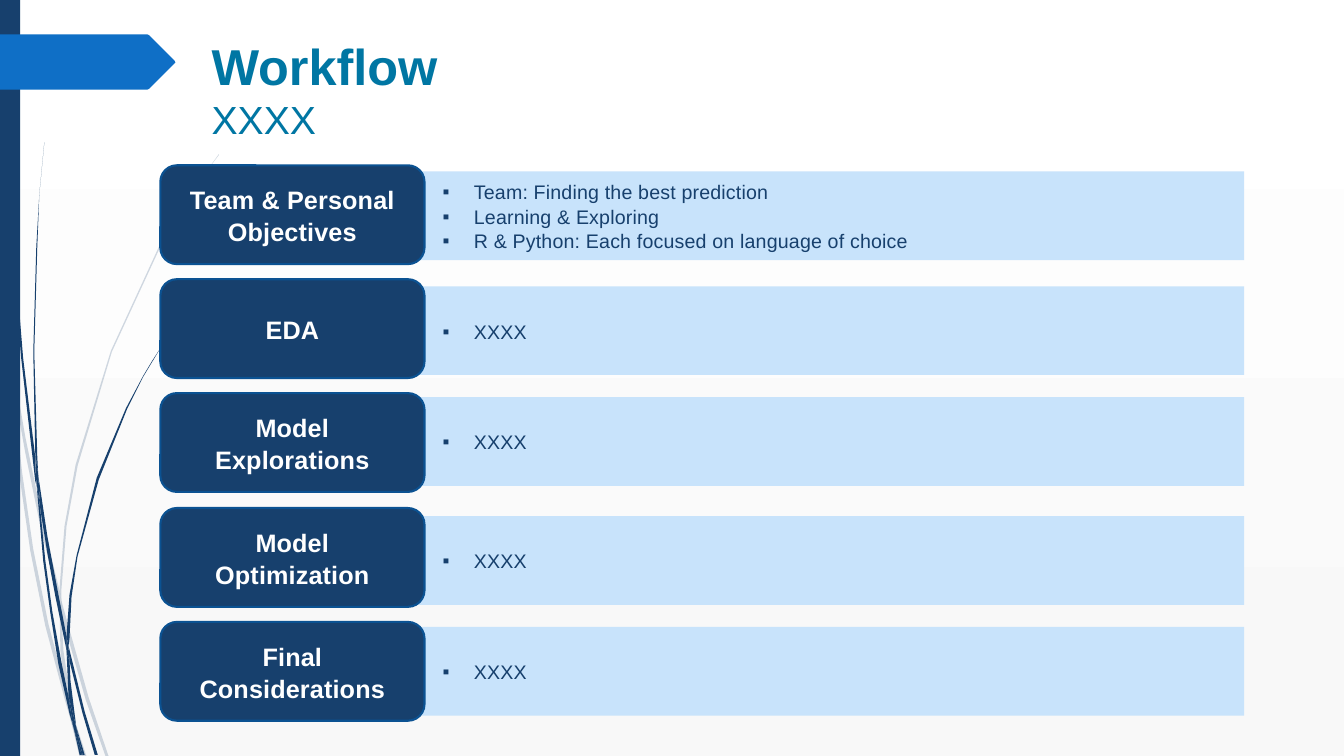
from dataclasses import dataclass

from lxml.etree import SubElement
from pptx import Presentation
from pptx.dml.color import RGBColor
from pptx.enum.shapes import MSO_SHAPE as SHAPE
from pptx.enum.text import MSO_ANCHOR as ANCHOR, PP_ALIGN as ALIGN
from pptx.oxml.ns import qn
from pptx.util import Emu, Pt

PX = 9144  # EMU per px, 100 px to the inch
COLORS = {
    "navy": "17406D", "blue": "0F6FC6", "edge": "0B5292", "pale": "C8E3FB",
    "teal": "0076A3", "white": "FFFFFF", "smoke": "F8F8F8",
}
BAR_TEXT = {"name": "Arial", "size": Pt(14), "bold": False}
CARD_TEXT = {"name": "Arial", "size": Pt(18), "bold": True}
TITLE_TEXT = {"name": "Arial", "size": Pt(36), "bold": True}
SUBTITLE_TEXT = {"name": "Arial", "size": Pt(28), "bold": False}
BAR_FRAME = {
    "word_wrap": True, "vertical_anchor": ANCHOR.MIDDLE,
    "margin_left": Emu(40 * PX), "margin_right": Emu(20 * PX),
    "margin_top": Emu(5 * PX), "margin_bottom": Emu(5 * PX),
}
CARD_FRAME = {"word_wrap": True, "vertical_anchor": ANCHOR.MIDDLE}
TITLE_FRAME = {"word_wrap": True, "vertical_anchor": ANCHOR.TOP}

Outline = list[tuple[int, int]]


@dataclass
class Step:
    name: str
    bar_top: int
    points: list[str]


STEPS = [
    Step("Team & Personal Objectives", 170, [
        "Team: Finding the best prediction",
        "Learning & Exploring",
        "R & Python: Each focused on language of choice",
    ]),
    Step("EDA", 284, ["XXXX"]),
    Step("Model Explorations", 394, ["XXXX"]),
    Step("Model Optimization", 512, ["XXXX"]),
    Step("Final Considerations", 622, ["XXXX"]),
]
CARD_TOP, CARD_PITCH = 164, 113.25

# Outlines of the grass blades, in px
FAINT_BLADES: list[Outline] = [
    [(8, 350), (6, 322), (0, 282), (0, 299), (7, 344)],
    [(40, 522), (59, 599), (59, 586), (43, 520), (25, 433), (10, 345), (12, 376), (25, 449)],
    [(64, 607), (61, 596), (61, 610), (85, 694), (105, 751), (108, 751), (88, 692)],
    [(83, 751), (86, 751), (73, 711)],
    [(65, 683), (48, 619), (33, 545), (22, 469), (12, 376), (8, 350), (19, 470),
     (30, 546), (45, 621), (64, 693), (70, 714), (69, 707)],
    [(59, 599), (60, 646), (65, 683), (67, 692), (73, 711), (72, 706), (63, 646),
     (61, 610), (61, 608)],
    [(61, 584), (66, 522), (77, 462), (111, 349), (159, 245), (187, 198), (201, 175),
     (217, 154), (217, 153), (201, 175), (186, 197), (158, 244), (110, 348), (75, 461),
     (64, 522), (59, 584), (59, 586), (61, 596)],
    [(70, 714), (79, 751), (82, 751)],
    [(61, 608), (61, 610), (61, 596), (59, 586), (59, 599)],
    [(67, 692), (65, 683), (69, 707), (70, 714), (82, 751), (83, 751), (73, 711)],
]
DARK_BLADES: list[Outline] = [
    [(5, 110), (11, 233), (21, 355), (35, 477), (36, 481), (35, 457), (35, 453),
     (23, 355), (13, 232), (6, 109), (4, 48), (3, 0), (3, 48)],
    [(55, 592), (66, 645), (66, 633), (66, 631), (58, 590), (47, 532), (38, 472),
     (40, 505), (47, 549)],
    [(70, 649), (68, 641), (69, 656), (82, 708), (94, 749), (97, 749), (84, 706)],
    [(68, 691), (61, 657), (52, 607), (45, 556), (40, 505), (36, 477), (43, 557),
     (50, 608), (58, 659), (69, 708), (73, 722), (72, 717)],
    [(38, 472), (37, 453), (34, 349), (37, 245), (39, 193), (44, 141), (39, 193),
     (36, 245), (33, 349), (35, 449)],
    [(82, 749), (84, 749), (75, 719)],
    [(36, 477), (40, 505), (38, 472), (35, 449), (35, 453)],
    [(69, 633), (71, 592), (77, 552), (98, 476), (126, 406), (142, 374), (151, 359),
     (160, 344), (151, 358), (142, 373), (125, 405), (96, 474), (76, 551), (69, 590),
     (66, 631), (68, 641)],
    [(73, 722), (79, 749), (81, 749)],
    [(66, 645), (68, 691), (72, 706), (75, 719), (75, 716), (70, 676), (69, 656), (67, 651)],
    [(66, 645), (67, 651), (69, 656), (68, 641), (66, 631), (66, 633)],
    [(72, 706), (68, 691), (72, 717), (73, 722), (81, 749), (82, 749), (75, 719)],
]
BANNER: Outline = [(173, 63), (148, 88), (146, 89), (0, 89), (0, 34), (146, 34),
                   (148, 35), (173, 60), (174, 62)]


def rgb(name: str) -> RGBColor:
    return RGBColor.from_string(COLORS[name])


def apply(target, values: dict) -> None:
    for name, value in values.items():
        setattr(target, name, value)


def paint(sp, fill: str, line: str | None = None) -> None:
    sp.shadow.inherit = False
    sp.fill.solid()
    sp.fill.fore_color.rgb = rgb(fill)
    if line:
        sp.line.color.rgb = rgb(line)
        sp.line.width = Pt(1.5)
    else:
        sp.line.fill.background()


def add_box(shapes, kind: SHAPE, at: tuple[int, int, int, int], fill: str,
            line: str | None = None):
    sp = shapes.add_shape(kind, *(Emu(v * PX) for v in at))
    paint(sp, fill, line)
    return sp


def add_outline(shapes, points: Outline, fill: str, alpha: int = 100) -> None:
    builder = shapes.build_freeform(*points[0], scale=PX)
    builder.add_line_segments(points[1:], close=True)
    sp = builder.convert_to_shape()
    paint(sp, fill)
    if alpha < 100:
        color = sp.fill._xPr.find(f"{qn('a:solidFill')}/{qn('a:srgbClr')}")
        SubElement(color, qn("a:alpha"), val=str(alpha * 1000))


def add_run(p, text: str, font: dict, color: str, spacing: int = 0) -> None:
    r = p.add_run()
    r.text = text
    apply(r.font, font)
    r.font.color.rgb = rgb(color)
    if spacing:
        r.font._element.set("spc", str(spacing))


def add_bullet(p) -> None:
    pPr = p._p.get_or_add_pPr()
    pPr.set("marL", str(31 * PX))
    pPr.set("indent", str(-31 * PX))
    SubElement(pPr, qn("a:buFont"), typeface="Arial")
    SubElement(pPr, qn("a:buChar"), char="▪")


def add_bar(shapes, step: Step) -> None:
    tf = add_box(shapes, SHAPE.RECTANGLE, (399, step.bar_top, 835, 88), "pale").text_frame
    apply(tf, BAR_FRAME)
    for i, point in enumerate(step.points):
        p = tf.add_paragraph() if i else tf.paragraphs[0]
        apply(p, {"alignment": ALIGN.LEFT, "line_spacing": 1.05})
        add_bullet(p)
        add_run(p, point, BAR_TEXT, "navy", 10)


def add_card(shapes, step: Step, top: int) -> None:
    sp = add_box(shapes, SHAPE.ROUNDED_RECTANGLE, (159, top, 262, 98), "navy", "edge")
    apply(sp.text_frame, CARD_FRAME)
    p = sp.text_frame.paragraphs[0]
    apply(p, {"alignment": ALIGN.CENTER, "line_spacing": 1.05})
    add_run(p, step.name, CARD_TEXT, "white", 10)


def main() -> None:
    prs = Presentation()
    prs.slide_width, prs.slide_height = Emu(1333 * PX), Emu(750 * PX)
    s = prs.slides.add_slide(prs.slide_layouts[6])

    # Background, white at the top
    bg = s.background.fill
    bg.gradient()
    bg.gradient_angle = 270
    for stop, color in zip(bg.gradient_stops, ("white", "smoke")):
        stop.color.rgb = rgb(color)

    # Grass blades, side strip and banner
    for blades, alpha in ((FAINT_BLADES, 20), (DARK_BLADES, 100)):
        group = s.shapes.add_group_shape()
        for blade in blades:
            add_outline(group.shapes, blade, "navy", alpha)
    add_box(s.shapes, SHAPE.RECTANGLE, (0, 0, 20, 750), "navy")
    add_outline(s.shapes, BANNER, "blue")

    # Detail bars
    for step in STEPS:
        add_bar(s.shapes, step)

    # Title
    tf = s.shapes.add_textbox(*(Emu(v * PX) for v in (200, 30, 975, 134))).text_frame
    apply(tf, TITLE_FRAME)
    p = tf.paragraphs[0]
    add_run(p, "Workflow", TITLE_TEXT, "teal")
    p.add_line_break()
    add_run(p, "XXXX", SUBTITLE_TEXT, "teal")

    # Step cards
    for i, step in enumerate(STEPS):
        add_card(s.shapes, step, CARD_TOP + round(CARD_PITCH * i))

    prs.save("out.pptx")


if __name__ == "__main__":
    main()
